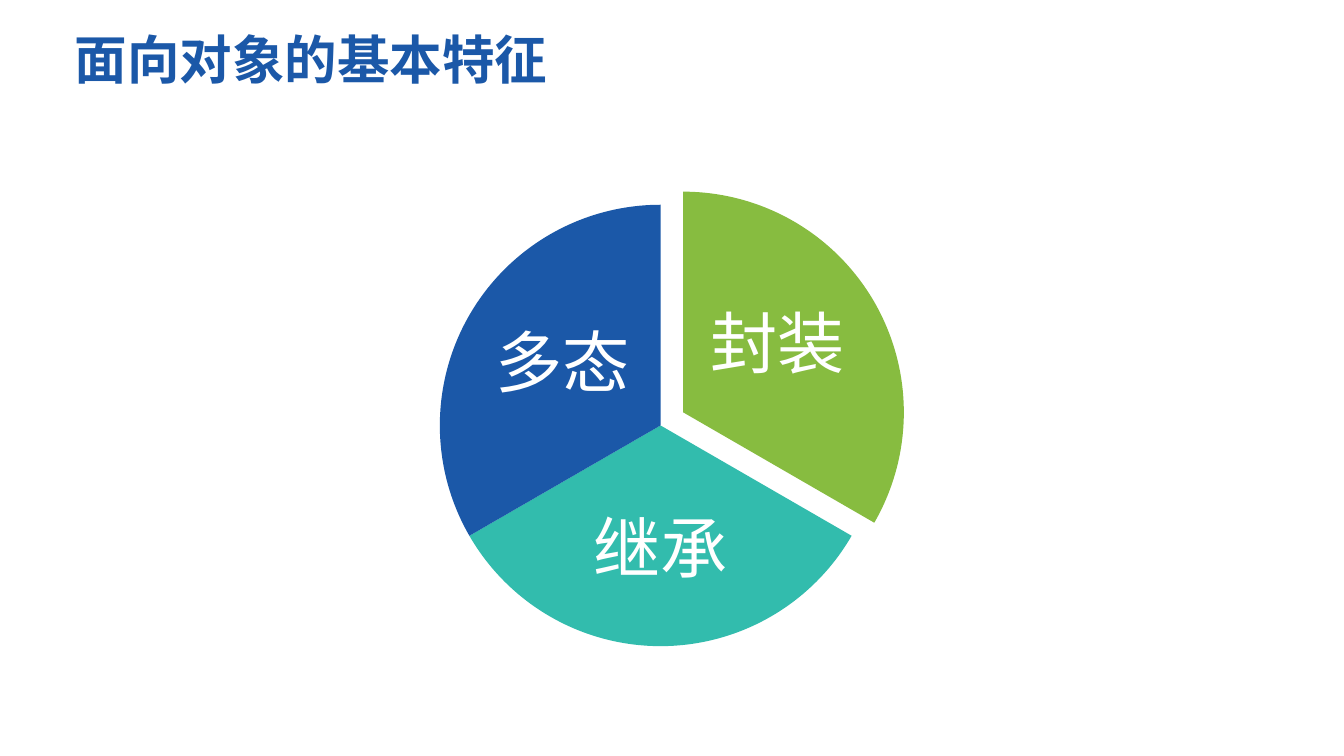
from math import cos, radians, sin

from lxml import etree
from pptx import Presentation
from pptx.dml.color import RGBColor
from pptx.enum.shapes import MSO_SHAPE
from pptx.enum.text import MSO_ANCHOR, PP_ALIGN
from pptx.oxml.ns import qn
from pptx.util import Cm, Pt

PIE = MSO_SHAPE.CHART_PIE if hasattr(MSO_SHAPE, "CHART_PIE") else MSO_SHAPE.PIE
TOP, MIDDLE = MSO_ANCHOR.TOP, MSO_ANCHOR.MIDDLE
LEFT, CENTER = PP_ALIGN.LEFT, PP_ALIGN.CENTER

BLUE = RGBColor(0x1B, 0x58, 0xA8)
GREEN = RGBColor(0x87, 0xBC, 0x40)
TEAL = RGBColor(0x32, 0xBC, 0xAD)
WHITE = RGBColor(0xFF, 0xFF, 0xFF)
FONT = "Noto Sans CJK SC"

PIE_LEFT, PIE_TOP, PIE_SIZE = 14.78, 6.88, 14.83
SWEEP = 120
ADJUSTMENT_PER_DEGREE = 0.6

# label, start angle, colour, explosion, label frame
SECTORS = [
    ("封装", 270, GREEN, 0.88, (23.62, 9.17, 5.03, 4.95)),
    ("继承", 30, TEAL, 0, (18.85, 16.23, 6.71, 4.6)),
    ("多态", 150, BLUE, 0, (16.38, 9.8, 5.03, 4.95)),
]


def add_text(shapes, text, frame, size, color, align, anchor, bold=False, wrap=True):
    box = shapes.add_textbox(*map(Cm, frame))
    text_frame = box.text_frame
    text_frame.text = text
    text_frame.word_wrap = wrap
    text_frame.vertical_anchor = anchor
    para = text_frame.paragraphs[0]
    para.alignment = align
    para.line_spacing = 0.9
    span = para.runs[0]
    span.font.name = FONT
    span.font.size = Pt(size)
    span.font.bold = bold
    span.font.color.rgb = color
    east_asian = etree.SubElement(span.font._element, qn("a:ea"))
    east_asian.set("typeface", FONT)


def add_sector(shapes, start, color, explosion):
    direction = radians(start + SWEEP / 2)
    left = PIE_LEFT + explosion * cos(direction)
    top = PIE_TOP + explosion * sin(direction)
    sector = shapes.add_shape(PIE, Cm(left), Cm(top), Cm(PIE_SIZE), Cm(PIE_SIZE))
    sector.adjustments[0] = start * ADJUSTMENT_PER_DEGREE
    sector.adjustments[1] = (start + SWEEP) % 360 * ADJUSTMENT_PER_DEGREE
    sector.shadow.inherit = False
    sector.fill.solid()
    sector.fill.fore_color.rgb = color
    sector.line.fill.background()


def main():
    deck = Presentation()
    deck.slide_width, deck.slide_height = Cm(45.16), Cm(25.4)
    page = deck.slides.add_slide(deck.slide_layouts[6])
    group = page.shapes.add_group_shape()
    for label, start, color, explosion, frame in SECTORS:
        add_sector(group.shapes, start, color, explosion)
        add_text(group.shapes, label, frame, 64, WHITE, CENTER, MIDDLE, wrap=False)
    add_text(page.shapes, "面向对象的基本特征", (2.26, 1.02, 40.64, 4.24), 50, BLUE, LEFT, TOP, bold=True)
    deck.save("out.pptx")


if __name__ == "__main__":
    main()
